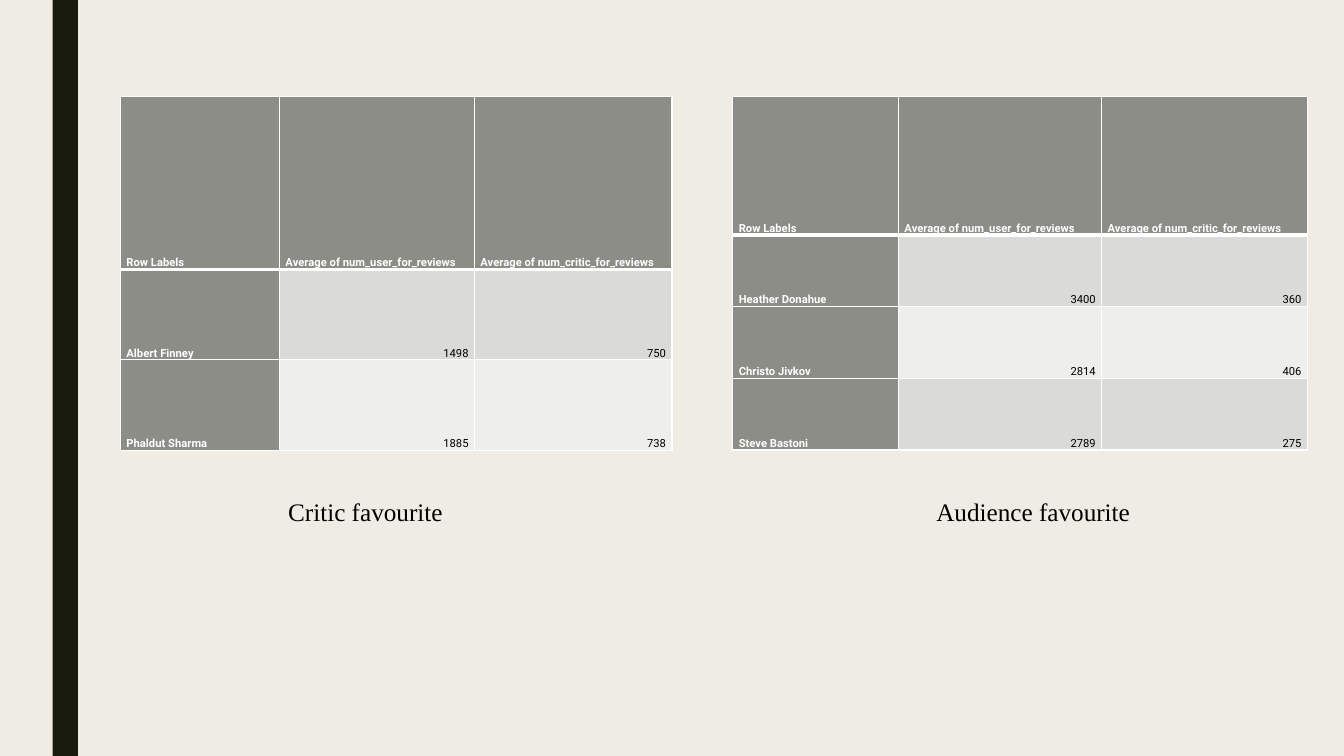
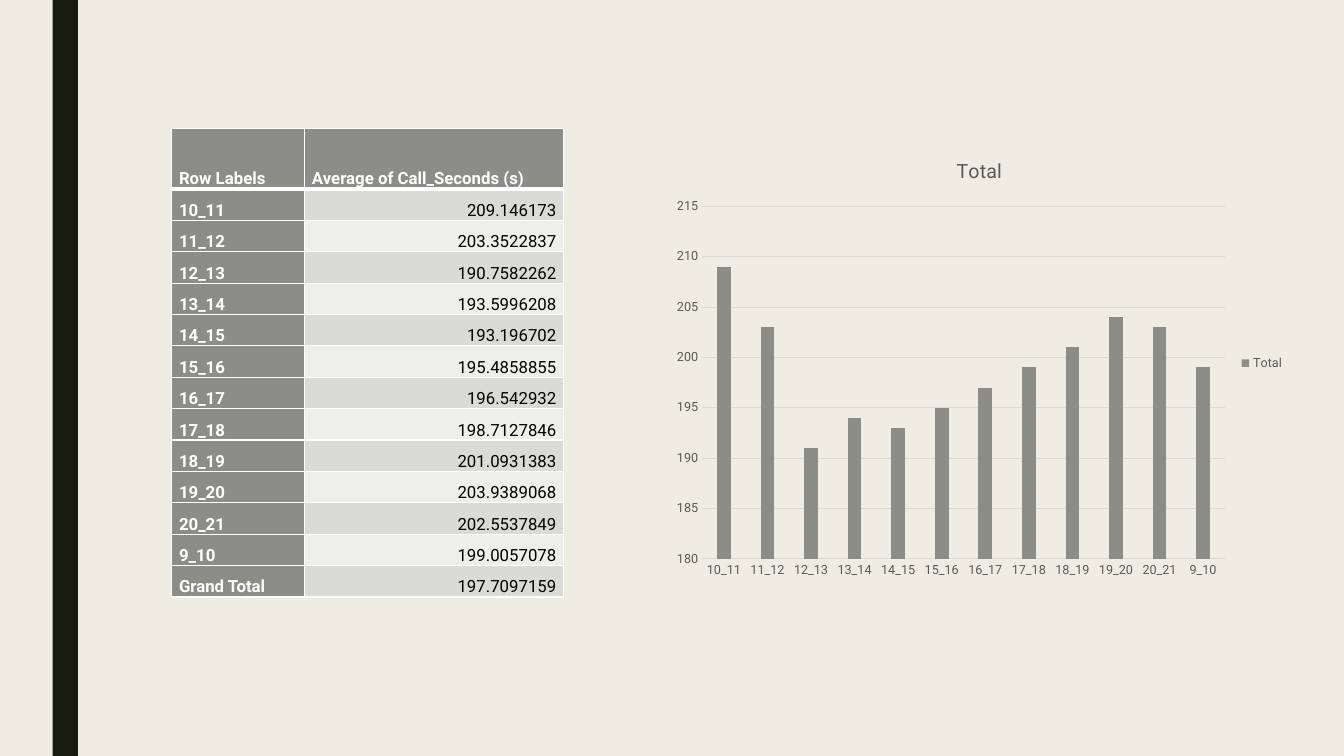
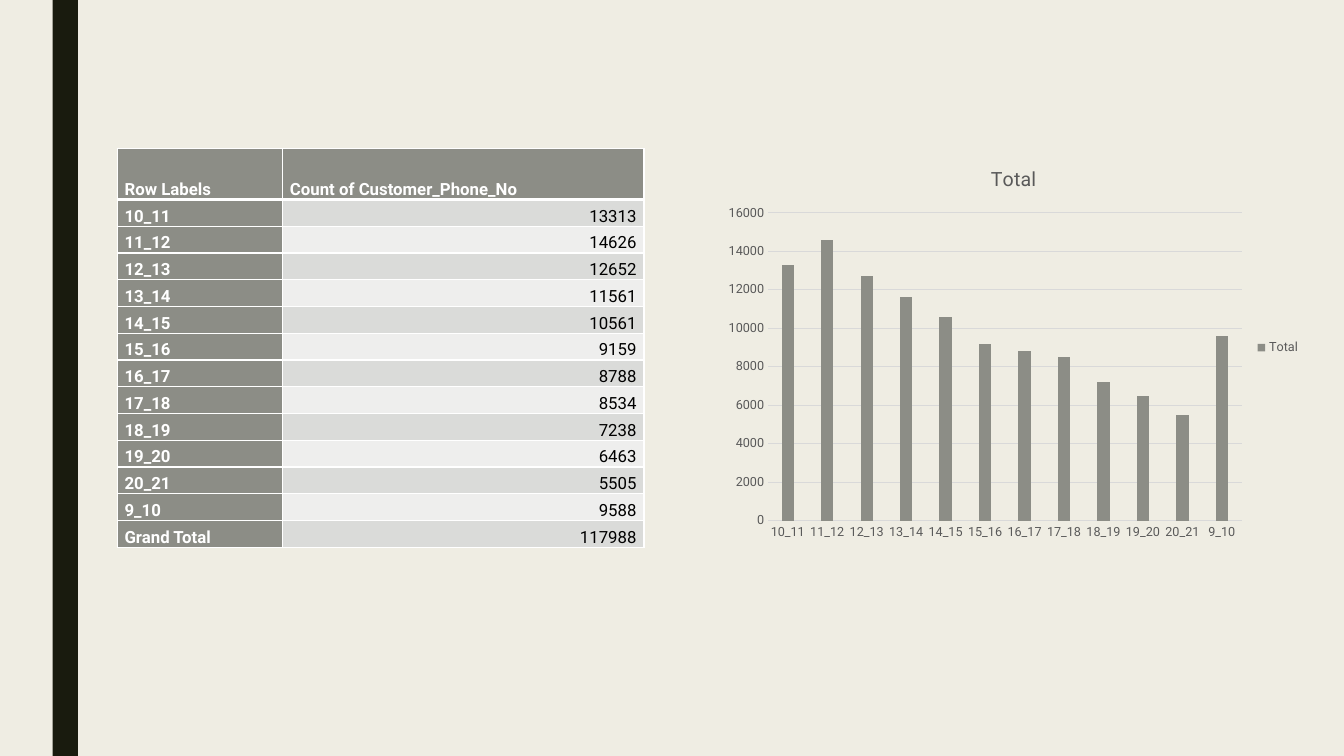
import dataclasses

import pptx
import pptx.chart.data
import pptx.dml.color
import pptx.enum.chart
import pptx.enum.shapes
import pptx.enum.text
import pptx.oxml
import pptx.oxml.ns
import pptx.util


@dataclasses.dataclass(frozen=True)
class Theme:
    """Colours, fonts and type sizes shared by all slides."""
    background: str = "EFEDE3"
    band: str = "191B0E"
    accent: str = "8C8D86"
    stripes: tuple = ("DADBD9", "EEEEED")
    border: str = "FFFFFF"
    text: str = "000000"
    header_text: str = "FFFFFF"
    chart_text: str = "595959"
    chart_line: str = "D9D9D9"
    font: str = "Roboto"
    caption_font: str = "Times New Roman"
    small_size: int = 8
    axis_size: int = 9
    chart_size: int = 10
    table_size: int = 12
    title_size: int = 14
    caption_size: int = 18
    thin_line: int = 1
    thick_line: int = 3


THEME = Theme()
WIDTH = pptx.util.Inches(13.33)
HEIGHT = pptx.util.Inches(7.5)
HOURS = ["10_11", "11_12", "12_13", "13_14", "14_15", "15_16",
         "16_17", "17_18", "18_19", "19_20", "20_21", "9_10"]
CALL_SECONDS = ["209.146173", "203.3522837", "190.7582262", "193.5996208",
                "193.196702", "195.4858855", "196.542932", "198.7127846",
                "201.0931383", "203.9389068", "202.5537849", "199.0057078"]
CALL_COUNTS = ["13313", "14626", "12652", "11561", "10561", "9159",
               "8788", "8534", "7238", "6463", "5505", "9588"]
REVIEW_HEADER = ["Row Labels", "Average of num_user_for_reviews",
                 "Average of num_critic_for_reviews"]
REVIEW_COLUMNS = (28.85, 35.35, 35.8)


def color(value):
    """Turn a hex string into a colour."""
    return pptx.dml.color.RGBColor.from_string(value)


def place(left, top, width, height):
    """Turn percentages of the slide into a box of lengths."""
    return tuple(round(share * side / 100) for share, side in
                 ((left, WIDTH), (top, HEIGHT), (width, WIDTH), (height, HEIGHT)))


def style_font(font, size, value, name=THEME.font, bold=False):
    """Set size, colour, typeface and weight of a font."""
    font.size = pptx.util.Pt(size)
    font.color.rgb = color(value)
    font.name = name
    font.bold = bold


def set_borders(cell, top, bottom):
    """Draw the four cell borders with the given top and bottom weights."""
    properties = cell._tc.get_or_add_tcPr()
    weights = {"L": THEME.thin_line, "R": THEME.thin_line, "T": top, "B": bottom}
    for position, (side, weight) in enumerate(weights.items()):
        properties.insert(position, pptx.oxml.parse_xml(
            f'<a:ln{side} {pptx.oxml.ns.nsdecls("a")} w="{pptx.util.Pt(weight)}">'
            f'<a:solidFill><a:srgbClr val="{THEME.border}"/></a:solidFill>'
            f'</a:ln{side}>'))


def fill_cell(cell, text, row, column, size):
    """Write and format one table cell according to its row and column."""
    is_label = row == 0 or column == 0
    cell.vertical_anchor = pptx.enum.text.MSO_ANCHOR.BOTTOM
    cell.margin_left = cell.margin_right = pptx.util.Pt(
        4.2 if size == THEME.small_size else 5.3)
    cell.margin_top = cell.margin_bottom = 0
    cell.fill.solid()
    cell.fill.fore_color.rgb = color(
        THEME.accent if is_label else THEME.stripes[(row - 1) % 2])
    set_borders(cell, THEME.thick_line if row == 1 else THEME.thin_line,
                THEME.thick_line if row == 0 else THEME.thin_line)
    paragraph = cell.text_frame.paragraphs[0]
    paragraph.line_spacing = 1.07
    paragraph.space_after = pptx.util.Pt(8)
    if not is_label:
        paragraph.alignment = pptx.enum.text.PP_ALIGN.RIGHT
    run = paragraph.add_run()
    run.text = text
    style_font(run.font, size, THEME.header_text if is_label else THEME.text,
               bold=is_label)


def add_data_table(slide, box, rows, column_shares, header_share, size):
    """Add a striped table whose columns and header take percentages of its box."""
    left, top, width, height = box
    table = slide.shapes.add_table(len(rows), len(column_shares), *box).table
    table.first_row = table.horz_banding = False
    for column, share in zip(table.columns, column_shares):
        column.width = round(width * share / 100)
    header_height = round(height * header_share / 100)
    for index, row in enumerate(table.rows):
        row.height = (round((height - header_height) / (len(rows) - 1))
                      if index else header_height)
    for row, texts in enumerate(rows):
        for column, text in enumerate(texts):
            fill_cell(table.cell(row, column), text, row, column, size)


def add_caption(slide, box, text):
    """Add a caption below a table."""
    frame = slide.shapes.add_textbox(*box).text_frame
    frame.word_wrap = True
    frame.auto_size = pptx.enum.text.MSO_AUTO_SIZE.SHAPE_TO_FIT_TEXT
    run = frame.paragraphs[0].add_run()
    run.text = text
    style_font(run.font, THEME.caption_size, THEME.text, THEME.caption_font)


def add_hour_chart(slide, box, values, scale):
    """Add a column chart by hour, with scale as minimum, maximum and step."""
    data = pptx.chart.data.CategoryChartData()
    data.categories = HOURS
    data.add_series("Total", values)
    chart = slide.shapes.add_chart(
        pptx.enum.chart.XL_CHART_TYPE.COLUMN_CLUSTERED, *box, data).chart
    style_font(chart.font, THEME.chart_size, THEME.text)

    chart.has_title = True
    run = chart.chart_title.text_frame.paragraphs[0].add_run()
    run.text = "Total"
    style_font(run.font, THEME.title_size, THEME.chart_text)

    chart.has_legend = True
    chart.legend.position = pptx.enum.chart.XL_LEGEND_POSITION.RIGHT
    chart.legend.include_in_layout = False
    style_font(chart.legend.font, THEME.axis_size, THEME.chart_text)

    category_axis, value_axis = chart.category_axis, chart.value_axis
    for axis in (category_axis, value_axis):
        axis.major_tick_mark = pptx.enum.chart.XL_TICK_MARK.NONE
        axis.minor_tick_mark = pptx.enum.chart.XL_TICK_MARK.NONE
        style_font(axis.tick_labels.font, THEME.axis_size, THEME.chart_text)
    value_axis.minimum_scale, value_axis.maximum_scale, value_axis.major_unit = scale
    value_axis.has_major_gridlines = True
    value_axis.format.line.fill.background()
    for line in (category_axis.format.line, value_axis.major_gridlines.format.line):
        line.color.rgb = color(THEME.chart_line)
        line.width = pptx.util.Pt(0.75)

    plot = chart.plots[0]
    plot.vary_by_categories = False
    plot.gap_width = 219
    plot.overlap = -27
    fill = plot.series[0].format.fill
    fill.solid()
    fill.fore_color.rgb = color(THEME.accent)


def keep_blank_layout(presentation):
    """Keep only the blank layout, without placeholders, and return it."""
    blank = presentation.slide_layouts[6]
    for layout in list(presentation.slide_layouts):
        if layout.name != blank.name:
            presentation.slide_layouts.remove(layout)
    for holder in (blank, presentation.slide_master):
        for placeholder in list(holder.placeholders):
            holder.shapes._spTree.remove(placeholder._element)
    return blank


def style_master(presentation, slide):
    """Give the slide master its background and its vertical band."""
    master = presentation.slide_master
    master.background.fill.solid()
    master.background.fill.fore_color.rgb = color(THEME.background)
    band = slide.shapes.add_shape(
        pptx.enum.shapes.MSO_SHAPE.RECTANGLE, *place(3.92, 0, 1.88, 100))
    band.shadow.inherit = False
    band.fill.solid()
    band.fill.fore_color.rgb = color(THEME.band)
    band.line.fill.background()
    master.shapes._spTree.append(band._element)


def build_favourites(slide):
    """Build the two review tables with their captions."""
    critics = [REVIEW_HEADER, ["Albert Finney", "1498", "750"],
               ["Phaldut Sharma", "1885", "738"]]
    audience = [REVIEW_HEADER, ["Heather Donahue", "3400", "360"],
                ["Christo Jivkov", "2814", "406"], ["Steve Bastoni", "2789", "275"]]
    for left, width, rows, header_share, caption_left, caption in (
            (8.97, 41.03, critics, 48.9, 20.7, "Critic favourite"),
            (54.53, 42.75, audience, 39.1, 68.93, "Audience favourite")):
        add_data_table(slide, place(left, 12.8, width, 46.75), rows,
                       REVIEW_COLUMNS, header_share, THEME.small_size)
        add_caption(slide, place(caption_left, 64.93, 28, 5.33), caption)


def build_hours(slide, table_box, label_share, header, values, total,
                chart_box, digits, scale):
    """Build a table by hour beside a chart of its rounded values."""
    rows = [["Row Labels", header], *zip(HOURS, values), ["Grand Total", total]]
    add_data_table(slide, table_box, rows, (label_share, 100 - label_share),
                   12.85, THEME.table_size)
    add_hour_chart(slide, chart_box,
                   [round(float(value), digits) for value in values], scale)


def main():
    """Build the presentation and save it."""
    presentation = pptx.Presentation()
    presentation.slide_width, presentation.slide_height = WIDTH, HEIGHT
    blank = keep_blank_layout(presentation)
    favourites, seconds, counts = (
        presentation.slides.add_slide(blank) for _ in range(3))
    style_master(presentation, favourites)
    build_favourites(favourites)
    build_hours(seconds, place(12.77, 17.03, 29.18, 62), 33.9,
                "Average of Call_Seconds (s)", CALL_SECONDS, "197.7097159",
                place(49.43, 18.5, 46.88, 59.07), 0, (180, 215, 5))
    build_hours(counts, place(8.72, 19.6, 39.2, 52.8), 31.4,
                "Count of Customer_Phone_No", CALL_COUNTS, "117988",
                place(53.33, 19.6, 44.17, 52.8), -2, (0, 16000, 2000))
    presentation.save("out.pptx")


if __name__ == "__main__":
    main()
